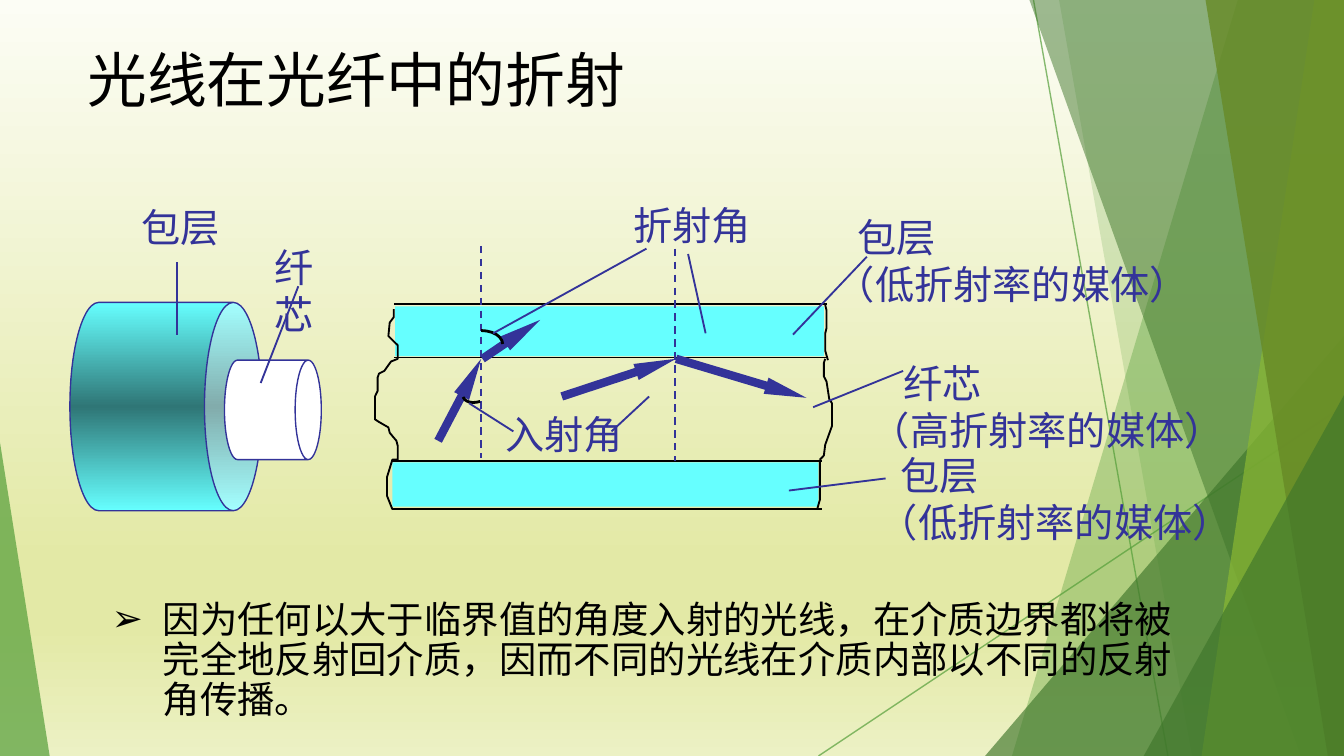
from dataclasses import dataclass
from typing import Optional

from lxml import etree
from pptx import Presentation
from pptx.dml.color import RGBColor
from pptx.enum.dml import MSO_LINE_DASH_STYLE
from pptx.enum.shapes import MSO_CONNECTOR, MSO_SHAPE
from pptx.enum.text import MSO_ANCHOR, MSO_AUTO_SIZE, PP_ALIGN
from pptx.oxml.ns import qn
from pptx.util import Inches, Pt

STRAIGHT = MSO_CONNECTOR.STRAIGHT
DASH = MSO_LINE_DASH_STYLE.DASH
RECTANGLE, TRIANGLE = MSO_SHAPE.RECTANGLE, MSO_SHAPE.ISOSCELES_TRIANGLE
CAN, ARC = MSO_SHAPE.CAN, MSO_SHAPE.ARC
TOP, LEFT = MSO_ANCHOR.TOP, PP_ALIGN.LEFT
FIT_SHAPE, NO_FIT = MSO_AUTO_SIZE.SHAPE_TO_FIT_TEXT, MSO_AUTO_SIZE.NONE

# The slide is a grid of square cells; every position counts cells.
COLUMNS, ROWS = 100, 56.25
CELL = Inches(10) / COLUMNS

COLOURS = {
    "black": "000000", "white": "FFFFFF", "ink": "333399",
    "cladding": "66FFFF", "cladding_dark": "2F7676",
    "green": "549E39", "deep_green": "3F762B", "lime": "8AB833", "olive": "678A26",
    "sky": "FCFDF5", "straw": "E3E9A6", "pale_straw": "ECF1C4",
}
Point = tuple[float, float]
Box = tuple[float, float, float, float]


@dataclass
class Segment:
    start: Point
    end: Point
    colour: str = "ink"
    width: float = 1
    dashed: bool = False
    arrow: bool = False
    alpha: int = 100


@dataclass
class Facet:
    """A slanted translucent panel: a triangle if apex is set, else an outline."""
    colour: str
    alpha: int
    box: Box = (0, 0, 0, 0)
    apex: Optional[float] = None
    outline: tuple[Point, ...] = ()


@dataclass
class Label:
    box: Box
    lines: tuple[str, ...]
    indent: float = 0
    wrap: bool = False


def slab(top: float, bottom: float, colour: str, alpha: int) -> Facet:
    """Panel from a top column and a bottom column to the right edge."""
    corners = ((top, 0), (COLUMNS, 0), (COLUMNS, ROWS), (bottom, ROWS))
    return Facet(colour, alpha, outline=corners)


BACKDROP_LINES = (
    Segment((76.9, 0), (86.9, ROWS), "green", 0.75, alpha=70),
    Segment((COLUMNS, 30.2), (60.9, ROWS), "green", 0.75, alpha=70),
)
FACETS = (
    slab(92.1, 75.3, "green", 36),
    slab(78.8, 88.7, "green", 20),
    Facet("deep_green", 66, (73.3, 25, 26.7, 31.25), 1),
    slab(76.6, 96.8, "deep_green", 50),
    slab(97.8, 89.4, "lime", 70),
    slab(89.7, 98.8, "olive", 80),
    Facet("deep_green", 66, (85.1, 29.4, 14.9, 26.85), 1),
    Facet("green", 70, (0, 32.9, 3.7, 23.35), 0),
)
CLADDINGS = ((29.4, 22.8, 31.9, 3.7), (29.2, 34.4, 31.7, 3.3))
WALLS = tuple(
    Segment((left, row), (right, row), "black")
    for left, right, rows in ((29.3, 61.5, (22.6, 26.6)), (29.2, 61.2, (34.3, 37.9)))
    for row in rows
)
NORMALS = (
    Segment((35.8, 18.3), (35.8, 34.1), dashed=True),
    Segment((50.2, 18.5), (50.2, 34.3), dashed=True),
)
RAYS = tuple(
    Segment(start, end, width=4.5, arrow=True)
    for start, end in (
        ((35.9, 26.7), (40.2, 23.8)), ((32.6, 32.8), (35.8, 26.7)),
        ((41.8, 29.5), (50.3, 26.7)), ((50.3, 26.7), (60, 29.6)),
    )
)
ANGLE_ARCS = (((34.2, 24.6, 3.2, 2), 0), ((34.4, 28.5, 2.2, 1.4), 162))
TORN_EDGES = (
    ((29.3, 23), (29.3, 23.6), (29, 24), (28.9, 25), (29.6, 25.7), (29.6, 26.7),
     (29.1, 26.9), (28.6, 27.6), (28.2, 27.8), (28.1, 28.1), (28.1, 29.1), (27.9, 29.5),
     (27.9, 31.2), (28.2, 31.4), (28.9, 31.8), (29, 32.2), (29.5, 32.8), (29.6, 33.2),
     (29.6, 34.2), (29.2, 34.2), (28.8, 35.5), (28.8, 36.9), (29.2, 37.9)),
    ((61.4, 22.7), (61.5, 23.1), (61.5, 24.4), (61.4, 24.8), (61.4, 26.1), (61.6, 26.8)),
    ((61.4, 26.7), (61.3, 27), (61.3, 28), (61.5, 28.4), (61.7, 29.7), (61.9, 30),
     (61.9, 31.7), (61.4, 33.1), (61.3, 33.9), (61, 34.2)),
    ((61, 34.2), (61, 37.2), (60.8, 37.9)),
)
LEADERS = tuple(
    Segment(start, end)
    for start, end in (
        ((51.2, 18.9), (52.5, 24.8)), ((36.7, 24.8), (48.1, 18.5)),
        ((34.9, 30), (38.2, 32.1)), ((45.5, 32.1), (48.3, 29.5)),
        ((60.5, 30.3), (67.2, 27.6)), ((64.5, 19.1), (59, 24.9)),
        ((65.9, 35.6), (58.7, 36.5)), ((13.2, 19.5), (13.2, 24.9)),
        ((22.2, 21.3), (19.4, 28.5)),
    )
)
LOW_INDEX = ("包层", "（低折射率的媒体）")
LABELS = (
    Label((46.2, 14.6, 10.6, 4.4), ("折射角",)),
    Label((36.7, 30.1, 12, 4.4), ("入射角",), wrap=True),
    Label((61.3, 15.5, 28.3, 8), LOW_INDEX, 1.6),
    Label((64.5, 33.2, 28.3, 8), LOW_INDEX, 1.6),
    Label((63.9, 26.3, 34.8, 8), ("纤芯", "（高折射率的媒体）"), 2.4, True),
    Label((9.6, 14.7, 7.7, 4.4), ("包层",)),
    Label((19.5, 17.7, 7.5, 8), ("纤芯",), wrap=True),
)


def cells(*counts: float) -> list[int]:
    return [round(count * CELL) for count in counts]


def rgb(name: str) -> RGBColor:
    return RGBColor.from_string(COLOURS[name])


def fade(shape, alpha: int) -> None:
    if alpha < 100:
        for colour in shape.element.iter(qn("a:srgbClr")):
            etree.SubElement(colour, qn("a:alpha"), val=str(alpha * 1000))


def set_gradient(fill, owner, angle: int, stops: dict[int, str]) -> None:
    fill.gradient()
    fill.gradient_angle = angle
    stop_list = next(owner.iter(qn("a:gsLst")))
    for stop in list(stop_list):
        stop_list.remove(stop)
    for percent, name in stops.items():
        stop = etree.SubElement(stop_list, qn("a:gs"), pos=str(percent * 1000))
        etree.SubElement(stop, qn("a:srgbClr"), val=COLOURS[name])


def paint(shape, fill: Optional[str], line: Optional[str] = None, width: float = 1) -> None:
    shape.shadow.inherit = False
    if fill:
        shape.fill.solid()
        shape.fill.fore_color.rgb = rgb(fill)
    else:
        shape.fill.background()
    if line:
        shape.line.color.rgb = rgb(line)
        shape.line.width = Pt(width)
    else:
        shape.line.fill.background()


def draw_segment(shapes, segment: Segment) -> None:
    connector = shapes.add_connector(STRAIGHT, *cells(*segment.start, *segment.end))
    connector.line.color.rgb = rgb(segment.colour)
    connector.line.width = Pt(segment.width)
    if segment.dashed:
        connector.line.dash_style = DASH
    properties = connector.element.spPr
    if segment.arrow:
        etree.SubElement(properties.find(qn("a:ln")), qn("a:tailEnd"),
                         type="triangle", w="sm", len="lg")
    etree.SubElement(properties, qn("a:effectLst"))
    fade(connector, segment.alpha)


def draw_outline(shapes, points: tuple[Point, ...], close: bool):
    builder = shapes.build_freeform(*cells(*points[0]), scale=1.0)
    builder.add_line_segments([tuple(cells(*point)) for point in points[1:]], close=close)
    return builder.convert_to_shape()


def draw_facet(shapes, facet: Facet) -> None:
    if facet.apex is None:
        panel = draw_outline(shapes, facet.outline, True)
    else:
        panel = shapes.add_shape(TRIANGLE, *cells(*facet.box))
        panel.adjustments[0] = facet.apex
    paint(panel, facet.colour)
    fade(panel, facet.alpha)


def draw_can(shapes, box: Box, rim: float):
    can = shapes.add_shape(CAN, *cells(*box))
    can.adjustments[0] = rim
    can.rotation = 90
    paint(can, "white", "ink", 0.75)
    return can


def set_font(paragraph, name: str, size: float, colour: str) -> None:
    paragraph.font.name = name
    paragraph.font.size = Pt(size)
    paragraph.font.color.rgb = rgb(colour)


def set_insets(frame) -> None:
    frame.margin_left = frame.margin_right = Inches(0.09)
    frame.margin_top = frame.margin_bottom = Inches(0.04)


def draw_label(shapes, label: Label) -> None:
    frame = shapes.add_textbox(*cells(*label.box)).text_frame
    set_insets(frame)
    frame.word_wrap = label.wrap
    frame.auto_size = FIT_SHAPE
    frame.text = "\n".join(label.lines)
    for paragraph in frame.paragraphs:
        set_font(paragraph, "Arial", 21, "ink")
    frame.paragraphs[0]._p.get_or_add_pPr().set("marL", str(cells(label.indent)[0]))


def fill_placeholder(holder, box: Box, text: str):
    """Move a placeholder to the front and return its only paragraph."""
    holder.element.getparent().append(holder.element)
    holder.left, holder.top, holder.width, holder.height = cells(*box)
    frame = holder.text_frame
    frame.text = text
    frame.word_wrap = True
    frame.auto_size = NO_FIT
    frame.vertical_anchor = TOP
    paragraph = frame.paragraphs[0]
    paragraph.alignment = LEFT
    return paragraph


def draw_conclusion(holder) -> None:
    set_insets(holder.text_frame)
    conclusion = fill_placeholder(
        holder, (3, 44.3, 87.7, 10),
        "因为任何以大于临界值的角度入射的光线，在介质边界都将被完全地反射回介质，"
        "因而不同的光线在介质内部以不同的反射角传播。")
    conclusion.line_spacing = 0.9
    conclusion.space_before = Pt(0)
    properties = conclusion._p.get_or_add_pPr()
    properties.set("marL", str(cells(8.2)[0]))
    properties.set("indent", str(cells(-3.8)[0]))
    bullet_colour = etree.SubElement(properties, qn("a:buClr"))
    etree.SubElement(bullet_colour, qn("a:srgbClr"), val=COLOURS["black"])
    etree.SubElement(properties, qn("a:buFont"), typeface="Arial")
    etree.SubElement(properties, qn("a:buChar"), char="➢")
    set_font(conclusion, "Arial", 20, "black")


def main() -> None:
    deck = Presentation()
    deck.slide_width, deck.slide_height = cells(COLUMNS, ROWS)
    slide = deck.slides.add_slide(deck.slide_layouts[1])
    shapes = slide.shapes
    set_gradient(slide.background.fill, slide.element, 270,
                 {0: "sky", 74: "straw", 83: "straw", 100: "pale_straw"})
    for segment in BACKDROP_LINES:
        draw_segment(shapes, segment)
    for facet in FACETS:
        draw_facet(shapes, facet)
    title = fill_placeholder(shapes.title, (5.5, 2.7, 85.3, 4.2), "光线在光纤中的折射")
    set_font(title, "Times New Roman", 32, "black")

    for box in CLADDINGS:
        paint(shapes.add_shape(RECTANGLE, *cells(*box)), "cladding")
    for segment in WALLS + NORMALS + RAYS:
        draw_segment(shapes, segment)
    for box, turn in ANGLE_ARCS:
        arc = shapes.add_shape(ARC, *cells(*box))
        arc.rotation = turn
        paint(arc, None, "black", 1.5)
    for edge in TORN_EDGES:
        paint(draw_outline(shapes, edge, False), None, "black")

    sheath = draw_can(shapes, (4.6, 23.1, 15.5, 14.3), 0.3)
    set_gradient(sheath.fill, sheath.element, 0,
                 {0: "cladding", 50: "cladding_dark", 100: "cladding"})
    draw_can(shapes, (16.6, 26.9, 7.4, 7.2), 0.27)
    for label in LABELS:
        draw_label(shapes, label)
    for leader in LEADERS:
        draw_segment(shapes, leader)
    draw_conclusion(slide.placeholders[1])
    deck.save("out.pptx")


if __name__ == "__main__":
    main()
